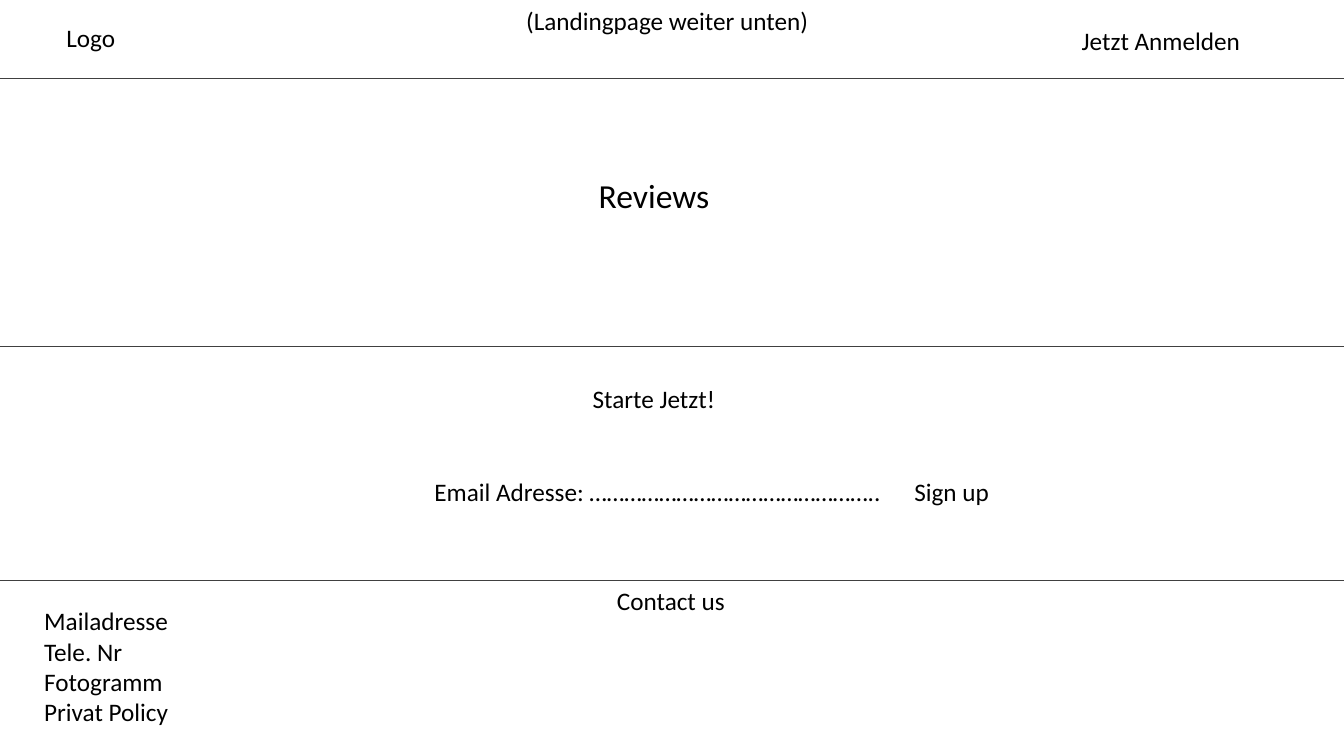
from pptx import Presentation
from pptx.dml.color import RGBColor
from pptx.enum.shapes import MSO_CONNECTOR as Connector
from pptx.enum.text import MSO_AUTO_SIZE as AutoSize
from pptx.oxml.ns import qn
from pptx.util import Inches, Pt
from lxml.etree import SubElement

THEME = {
    "font": "Calibri",
    "text": RGBColor(0x00, 0x00, 0x00),
    "rule": RGBColor(0x40, 0x40, 0x40),
    "rule_width": Pt(0.5),
    "body": Pt(18),
    "heading": Pt(24),
}
PAGE_WIDTH = 13.33

deck = Presentation()
deck.slide_width = Inches(PAGE_WIDTH)
deck.slide_height = Inches(7.5)
page = deck.slides.add_slide(deck.slide_layouts[6])


def add_text(left, top, width, height, lines, size=THEME["body"], wrap=False):
    box = page.shapes.add_textbox(*map(Inches, (left, top, width, height)))
    frame = box.text_frame
    frame.word_wrap = wrap
    frame.auto_size = AutoSize.SHAPE_TO_FIT_TEXT
    for index, line in enumerate(lines):
        para = frame.add_paragraph() if index else frame.paragraphs[0]
        span = para.add_run()
        span.text = line
        span.font.name = THEME["font"]
        span.font.size = size
        span.font.color.rgb = THEME["text"]
    return box


# Rules between the page sections
for y in (0.78, 3.44, 5.76):
    rule = page.shapes.add_connector(
        Connector.STRAIGHT, 0, Inches(y), Inches(PAGE_WIDTH), Inches(y))
    rule.line.color.rgb = THEME["rule"]
    rule.line.width = THEME["rule_width"]
    SubElement(rule.element.spPr, qn("a:effectLst"))

# Header
add_text(5.12, 0, 3.09, 0.4, ["(Landingpage weiter unten)"])
add_text(0.56, 0.17, 0.69, 0.4, ["Logo"])
add_text(10.63, 0.2, 1.79, 0.4, ["Jetzt Anmelden"])

# Reviews
add_text(5.84, 1.69, 1.4, 0.5, ["Reviews"], THEME["heading"], wrap=True)

# Sign-up, with a tab stop between the address field and the button text
add_text(5.78, 3.75, 1.43, 0.4, ["Starte Jetzt!"])
signup = add_text(4.21, 4.68, 5.76, 0.4,
                  ["Email Adresse: " + "…" * 16 + "..\tSign up"], wrap=True)
para_format = signup.text_frame.paragraphs[0]._p.get_or_add_pPr()
tab_list = SubElement(para_format, qn("a:tabLst"))
SubElement(tab_list, qn("a:tab"), pos=str(Inches(4.76)), algn="l")

# Contact
add_text(6.02, 5.76, 1.28, 0.4, ["Contact us"])
add_text(0.34, 5.96, 1.44, 1.62,
         ["Mailadresse", "Tele. Nr", "Fotogramm", "Privat Policy"])

deck.save("out.pptx")
